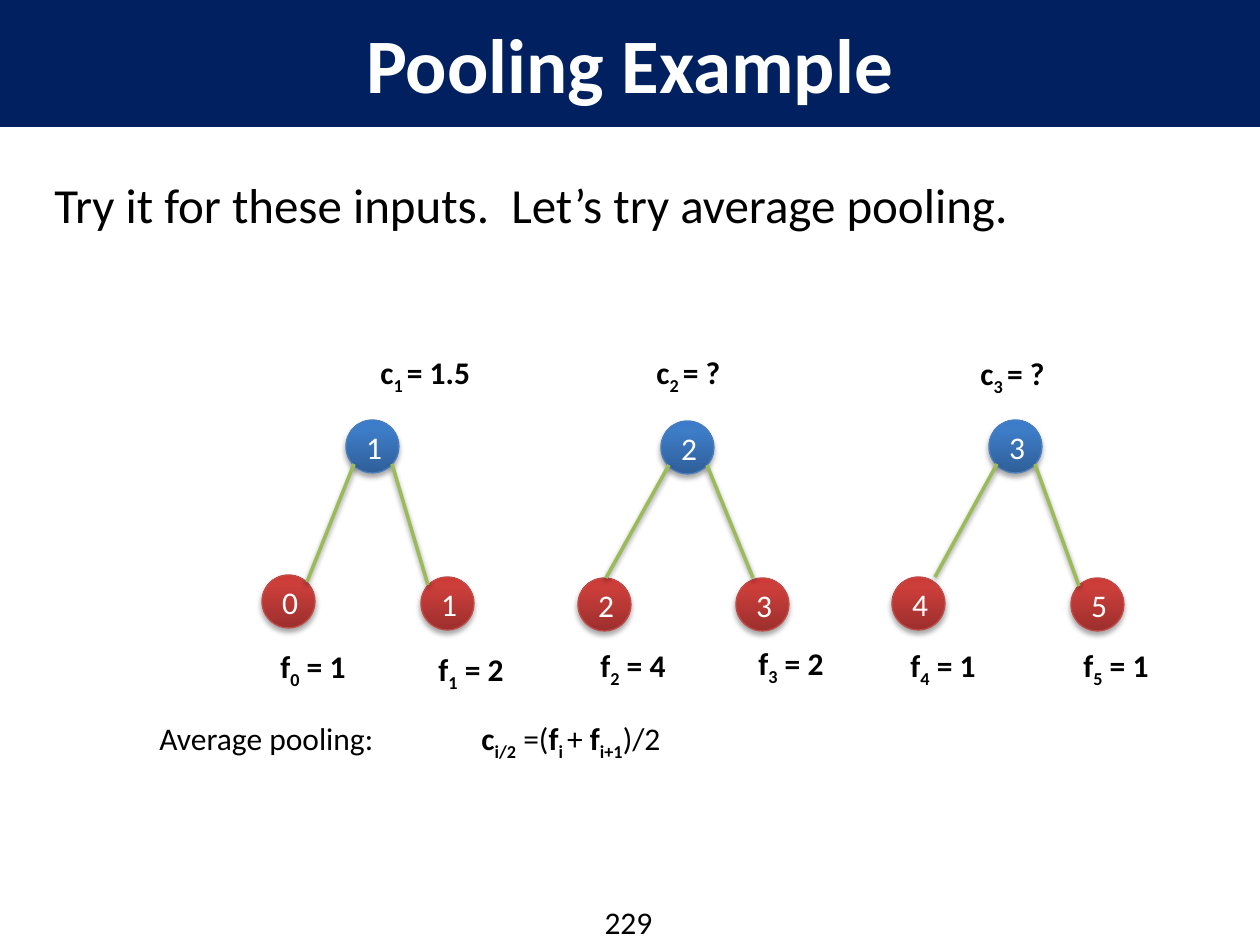
from lxml.etree import SubElement
from pptx import Presentation
from pptx.dml.color import RGBColor
from pptx.enum.shapes import MSO_CONNECTOR as Connector, MSO_SHAPE as Shape
from pptx.enum.text import MSO_ANCHOR as Anchor, MSO_AUTO_SIZE as AutoSize, PP_ALIGN as Align
from pptx.oxml import parse_xml
from pptx.oxml.ns import nsdecls, qn
from pptx.util import Emu, Pt

PX_PER_INCH = 126
NODE = 53
LABEL_HEIGHT = 50
COLORS = {
    "banner": "002060", "white": "FFFFFF", "black": "000000", "edge": "9BBB59",
    "pooled_line": "4B7EBC", "input_line": "BF4C48",
}
GRADIENTS = {
    "pooled": [(0, "2F5F99"), (80, "3D7CC7"), (100, "3A7CCB")],
    "input": [(0, "9C2F2D"), (80, "CB3E3A"), (100, "CE3B37")],
}
BOLD = {"bold": True}
SUB = {"bold": True, "subscript": True}
PLAIN = {"bold": False}

# number, node position, label position, label width, text after the subscript
POOLED = [
    (1, (346, 420), (368, 347), 123, "= 1.5"),
    (2, (661, 421), (644, 347), 123, "= ?"),
    (3, (989, 420), (968, 348), 92, "= ?"),
]
INPUTS = [
    (0, (262, 575), (268, 641), 91, 1),
    (1, (421, 577), (426, 644), 93, 2),
    (2, (578, 578), (588, 640), 93, 4),
    (3, (736, 578), (746, 638), 93, 2),
    (4, (892, 577), (898, 640), 93, 1),
    (5, (1071, 578), (1071, 640), 93, 1),
]
# where the left and right edge of each pooled node meet its inputs
EDGE_ENDS = [((307, 582), (428, 585)), ((606, 578), (753, 578)), ((935, 577), (1079, 586))]
EDGE_STARTS = [(8, 44), (46, 44)]


def px(value):
    return Emu(round(value * 914400 / PX_PER_INCH))


def rgb(name):
    return RGBColor.from_string(COLORS[name])


def add_span(para, text, size=18, color="black", bold=False, subscript=False):
    span = para.add_run()
    span.text = text
    for name, value in {"name": "Calibri", "size": Pt(size), "bold": bold}.items():
        setattr(span.font, name, value)
    span.font.color.rgb = rgb(color)
    if subscript:
        span.font._element.set("baseline", "-25000")


def set_line(shape, color, width):
    shape.line.color.rgb = rgb(color)
    shape.line.width = Pt(width)


def add_shadow(shape, distance, opacity):
    """Drop a soft black shadow below the shape; opacity in percent."""
    properties = shape._element.spPr
    for old in properties.findall(qn("a:effectLst")):
        properties.remove(old)
    effects = SubElement(properties, qn("a:effectLst"))
    shadow = SubElement(effects, qn("a:outerShdw"), blurRad=str(Pt(3.1)),
                        dist=str(Pt(distance)), dir="5400000", rotWithShape="0")
    color = SubElement(shadow, qn("a:srgbClr"), val=COLORS["black"])
    SubElement(color, qn("a:alpha"), val=str(opacity * 1000))


def fill_gradient(shape, stops):
    """Fill from bottom to top with (percent, colour) stops."""
    marks = "".join(f'<a:gs pos="{percent * 1000}"><a:srgbClr val="{color}"/></a:gs>'
                    for percent, color in stops)
    geometry = shape._element.spPr.find(qn("a:prstGeom"))
    geometry.addnext(parse_xml(
        f'<a:gradFill {nsdecls("a")} rotWithShape="1"><a:gsLst>{marks}</a:gsLst>'
        '<a:lin ang="16200000" scaled="0"/></a:gradFill>'))


def add_title(slide, text):
    title = slide.shapes.title
    frame = {"left": 0, "top": 0, "width": 1260, "height": 126}
    for name, value in frame.items():
        setattr(title, name, px(value))
    title.fill.solid()
    title.fill.fore_color.rgb = rgb("banner")
    set_line(title, "banner", 0.75)
    title.text_frame.vertical_anchor = Anchor.MIDDLE
    para = title.text_frame.paragraphs[0]
    para.alignment = Align.CENTER
    add_span(para, text, 44, "white", bold=True)


def add_text(slide, position, size, spans, wrap=True, align=Align.LEFT):
    """Add a one-paragraph text box from (text, format) spans."""
    box = slide.shapes.add_textbox(*map(px, position + size))
    for name, value in {"word_wrap": wrap, "auto_size": AutoSize.SHAPE_TO_FIT_TEXT}.items():
        setattr(box.text_frame, name, value)
    para = box.text_frame.paragraphs[0]
    para.alignment = align
    for text, style in spans:
        add_span(para, text, **style)


def add_node(slide, position, number, kind):
    node = slide.shapes.add_shape(Shape.OVAL, *map(px, position + (NODE, NODE)))
    fill_gradient(node, GRADIENTS[kind])
    set_line(node, f"{kind}_line", 0.75)
    add_shadow(node, 1.8, 35)
    node.text_frame.vertical_anchor = Anchor.MIDDLE
    para = node.text_frame.paragraphs[0]
    para.alignment = Align.CENTER
    add_span(para, str(number), color="white")


def add_edge(slide, start, end):
    edge = slide.shapes.add_connector(Connector.STRAIGHT, *map(px, start + end))
    set_line(edge, "edge", 2)
    add_shadow(edge, 1.6, 38)


def add_label(slide, position, width, symbol, subscript, value):
    spans = [(symbol, BOLD), (subscript, SUB), (value, BOLD)]
    add_text(slide, position, (width, LABEL_HEIGHT), spans, wrap=False)


def main():
    deck = Presentation()
    deck.slide_width, deck.slide_height = px(1260), px(945)
    slide = deck.slides.add_slide(deck.slide_layouts[5])

    add_title(slide, "Pooling Example")
    add_text(slide, (42, 168), (1187, 72),
             [("Try it for these inputs.  Let’s try average pooling.", {"size": 28})])

    for number, position, label_position, width, value in POOLED:
        add_node(slide, position, number, "pooled")
        add_label(slide, label_position, width, "c", f"{number} ", value)
    for number, position, label_position, width, value in INPUTS:
        add_node(slide, position, number, "input")
        add_label(slide, label_position, width, "f", str(number), f" = {value}")
    for (_, (left, top), *_), ends in zip(POOLED, EDGE_ENDS):
        for (across, down), end in zip(EDGE_STARTS, ends):
            add_edge(slide, (left + across, top + down), end)

    add_text(slide, (147, 713), (998, LABEL_HEIGHT), [
        ("Average pooling:\t\t", PLAIN), (" c", BOLD), ("i/2", SUB), (" =(", PLAIN),
        ("f", BOLD), ("i ", SUB), ("+ ", PLAIN), ("f", BOLD), ("i+1", SUB), (")/2", PLAIN),
    ])
    add_text(slide, (576, 897), (105, LABEL_HEIGHT), [("229", PLAIN)], align=Align.CENTER)
    deck.save("out.pptx")


if __name__ == "__main__":
    main()
